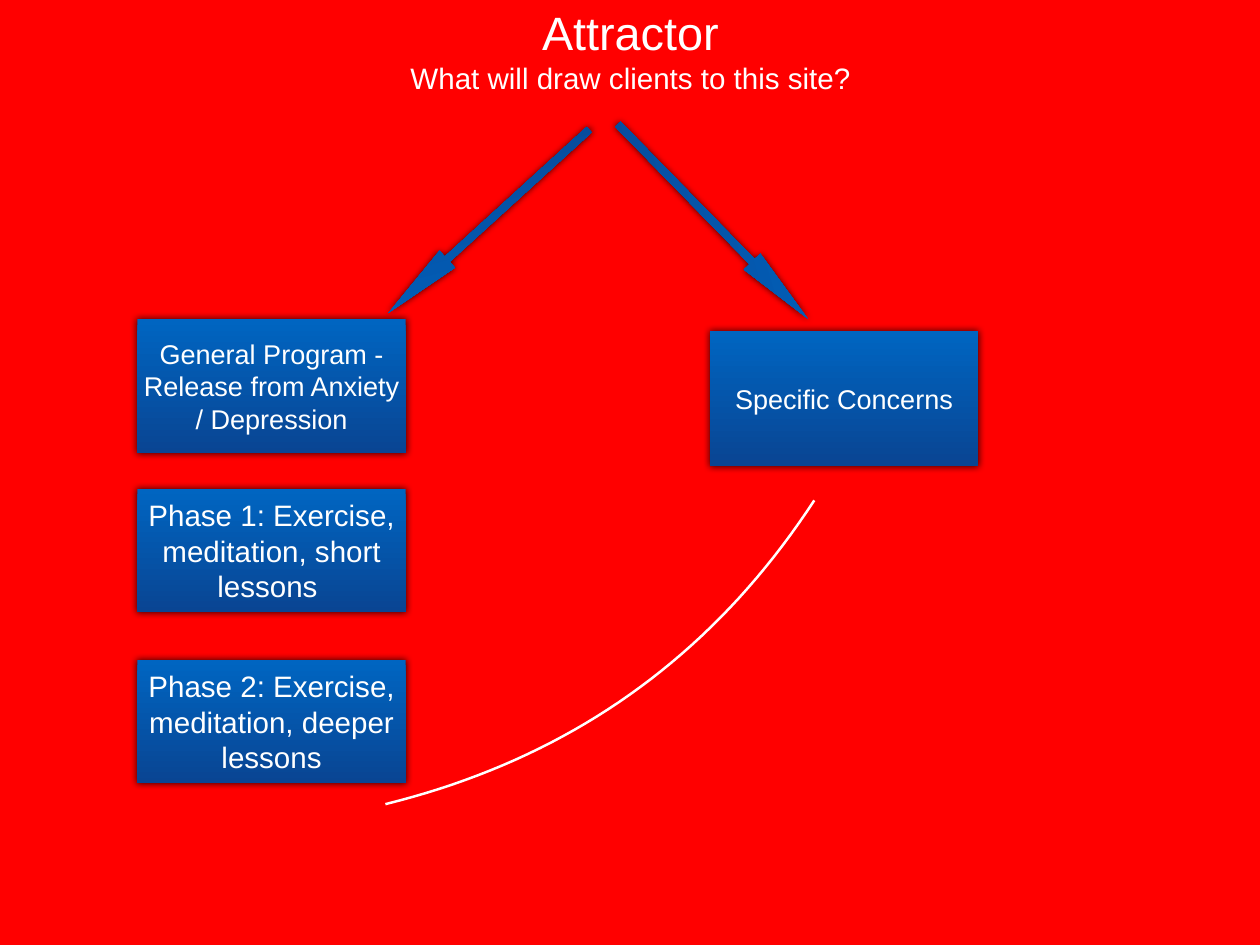
from lxml.etree import SubElement
from pptx import Presentation
from pptx.dml.color import RGBColor
from pptx.enum.shapes import MSO_SHAPE as Preset
from pptx.enum.text import MSO_ANCHOR as Anchor, MSO_AUTO_SIZE as AutoSize, PP_ALIGN as Align
from pptx.oxml.ns import qn
from pptx.util import Inches, Pt

RED = RGBColor(0xFF, 0x00, 0x00)
WHITE = RGBColor(0xFF, 0xFF, 0xFF)
LIGHT_BLUE = RGBColor(0x00, 0x65, 0xC1)
DARK_BLUE = RGBColor(0x09, 0x45, 0x93)


def paint(shape, angle):
    shape.fill.gradient()
    shape.fill.gradient_angle = angle
    for stop, color in zip(shape.fill.gradient_stops, (LIGHT_BLUE, DARK_BLUE)):
        stop.color.rgb = color
    shape.line.fill.background()
    shape.shadow.inherit = False
    effects = shape._element.spPr.find(qn("a:effectLst"))
    shadow = SubElement(effects, qn("a:outerShdw"), blurRad=str(Pt(6)), dist="0",
                        dir="18900000", algn="ctr", rotWithShape="0")
    black = SubElement(shadow, qn("a:srgbClr"), val="000000")
    SubElement(black, qn("a:alpha"), val="80000")


def write(shape, lines, wrap=True):
    frame = shape.text_frame
    frame.word_wrap = wrap
    frame.auto_size = AutoSize.NONE
    frame.vertical_anchor = Anchor.MIDDLE
    frame.margin_left = frame.margin_right = Inches(0.06)
    frame.margin_top = frame.margin_bottom = Inches(0.06)
    for index, (words, size) in enumerate(lines):
        para = frame.add_paragraph() if index else frame.paragraphs[0]
        para.alignment = Align.CENTER
        span = para.add_run()
        span.text = words
        span.font.name = "Arial"
        span.font.size = Pt(size)
        span.font.color.rgb = WHITE


deck = Presentation()
deck.slide_width, deck.slide_height = Inches(14.22), Inches(10.67)
page = deck.slides.add_slide(deck.slide_layouts[5])
page.background.fill.solid()
page.background.fill.fore_color.rgb = RED

title = page.shapes.title
title.left, title.top = Inches(4.57), Inches(-0.02)
title.width, title.height = Inches(5.09), Inches(1.15)
write(title, [("Attractor", 38), ("What will draw clients to this site?", 24)], wrap=False)

for left, rotation in ((3.98, 317.6), (6.51, 225.7)):
    arrow = page.shapes.add_shape(Preset.RIGHT_ARROW, Inches(left), Inches(2.37),
                                  Inches(3.07), Inches(0.26))
    arrow.adjustments[0] = 0.32
    arrow.adjustments[1] = 3.472
    arrow.rotation = rotation
    arrow._element.spPr.xfrm.set("flipH", "1")
    paint(arrow, 118)

boxes = [
    (1.55, 3.6, 1.52, 22, "General Program - Release from Anxiety / Depression"),
    (1.55, 5.52, 1.39, 24, "Phase 1: Exercise, meditation, short lessons "),
    (1.55, 7.45, 1.39, 24, "Phase 2: Exercise, meditation, deeper lessons"),
    (8.01, 3.74, 1.52, 22, "Specific Concerns"),
]
for left, top, height, size, words in boxes:
    box = page.shapes.add_shape(Preset.RECTANGLE, Inches(left), Inches(top),
                                Inches(3.03), Inches(height))
    paint(box, 270)
    write(box, [(words, size)])

bends = [(9.19, 5.65), (8.03, 7.43), (6.42, 8.57), (4.35, 9.08)]
steps = 40
points = []
for step in range(steps + 1):
    t = step / steps
    weights = ((1 - t) ** 3, 3 * t * (1 - t) ** 2, 3 * t ** 2 * (1 - t), t ** 3)
    points.append([Inches(sum(weight * bend[axis] for weight, bend in zip(weights, bends)))
                   for axis in (0, 1)])
builder = page.shapes.build_freeform(*points[0])
builder.add_line_segments(points[1:], close=False)
curve = builder.convert_to_shape()
curve.fill.background()
curve.line.color.rgb = WHITE
curve.line.width = Pt(2)
curve.shadow.inherit = False

deck.save("out.pptx")
